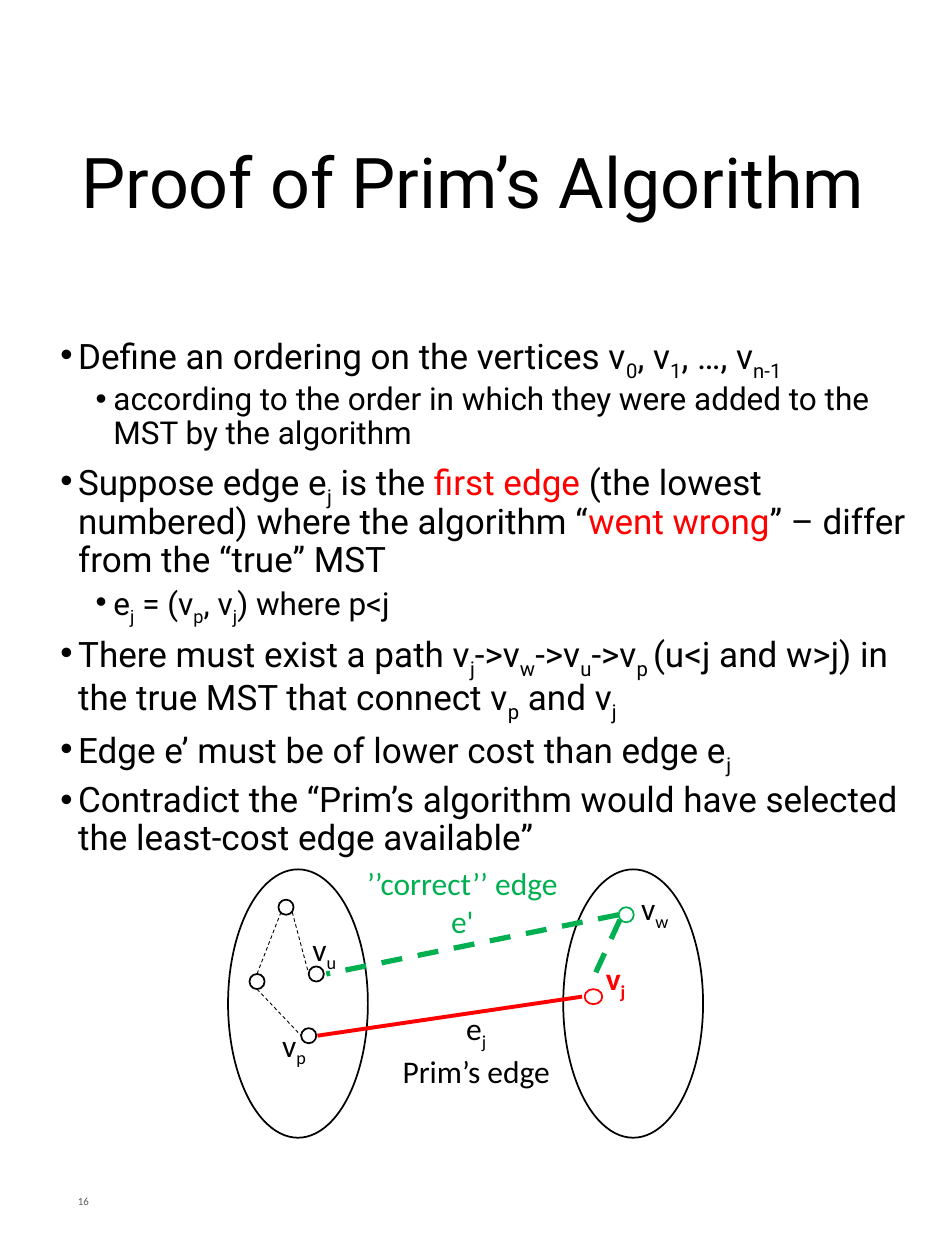
from lxml.etree import SubElement
from pptx import Presentation
from pptx.dml.color import RGBColor
from pptx.enum.dml import MSO_LINE
from pptx.enum.shapes import MSO_CONNECTOR, MSO_SHAPE
from pptx.enum.text import MSO_ANCHOR, MSO_AUTO_SIZE, PP_ALIGN
from pptx.oxml.ns import qn
from pptx.util import Inches, Pt

COLORS = {
    "black": "000000",
    "white": "FFFFFF",
    "gray": "595959",
    "red": "FF0000",
    "green": "00B050",
}

# In texts, |x| is a subscript and *x* is highlighted in red.
BULLETS = [
    (0, "Define an ordering on the vertices v|0|, v|1|, …, v|n-1|"),
    (1, "according to the order in which they were added to the MST by the algorithm"),
    (0, "Suppose edge e|j| is the *first edge *(the lowest numbered) where the "
        "algorithm “*went wrong*” – differ from the “true” MST"),
    (1, "e|j| = (v|p|, v|j|) where p<j"),
    (0, "There must exist a path v|j|->v|w|->v|u|->v|p |(u<j and w>j) in the true "
        "MST that connect v|p| and v|j|"),
    (0, "Edge e’ must be of lower cost than edge e|j|"),
    (0, "Contradict the “Prim’s algorithm would have selected the least-cost edge available”"),
]


def rgb(name):
    return RGBColor.from_string(COLORS[name])


def place(s, left, top, width, height):
    s.left, s.top = Inches(left), Inches(top)
    s.width, s.height = Inches(width), Inches(height)


def write(p, text, size=18, font="Calibri", color="black", bold=False,
          align=PP_ALIGN.LEFT):
    """Fill a paragraph, turning the marks in text into formatted runs."""
    p.alignment = align
    for i, part in enumerate(text.split("*")):
        for j, piece in enumerate(part.split("|")):
            if not piece:
                continue
            r = p.add_run()
            r.text = piece
            r.font.size, r.font.name, r.font.bold = Pt(size), font, bold
            r.font.color.rgb = rgb("red" if i % 2 else color)
            if j % 2:
                r.font._element.set("baseline", "-25000")


def add_label(slide, box, *lines, anchor=MSO_ANCHOR.TOP, **fmt):
    tf = slide.shapes.add_textbox(*map(Inches, box)).text_frame
    tf.word_wrap = True
    tf.vertical_anchor = anchor
    for i, line in enumerate(lines):
        write(tf.add_paragraph() if i else tf.paragraphs[0], line, **fmt)


def add_ellipse(slide, left, top, width, height, color="black"):
    s = slide.shapes.add_shape(MSO_SHAPE.OVAL, *map(Inches, (left, top, width, height)))
    s.shadow.inherit = False
    s.fill.solid()
    s.fill.fore_color.rgb = rgb("white")
    s.line.color.rgb = rgb(color)
    s.line.width = Pt(1)


def add_edge(slide, start, end, color="black", width=0.5, dashed=True):
    c = slide.shapes.add_connector(MSO_CONNECTOR.STRAIGHT, *map(Inches, start + end))
    c.line.color.rgb = rgb(color)
    c.line.width = Pt(width)
    if dashed:
        c.line.dash_style = MSO_LINE.DASH
    SubElement(c._element.spPr, qn("a:effectLst"))


def fill_title(s):
    place(s, 0.55, 0.51, 6.47, 1.93)
    tf = s.text_frame
    tf.auto_size = MSO_AUTO_SIZE.NONE
    tf.vertical_anchor = MSO_ANCHOR.MIDDLE
    p = tf.paragraphs[0]
    p.line_spacing = 0.9
    write(p, "Proof of Prim’s Algorithm", size=40, font="Roboto")


def fill_body(s):
    place(s, 0.38, 2.61, 6.98, 4.61)
    tf = s.text_frame
    tf.auto_size = MSO_AUTO_SIZE.NONE
    for i, (level, text) in enumerate(BULLETS):
        p = tf.add_paragraph() if i else tf.paragraphs[0]
        p.level = level
        p.line_spacing = 0.9
        p.space_before = Pt((2.8 if level else 5.7) if i else 0)
        pPr = p._p.get_or_add_pPr()
        pPr.set("marL", str(Inches(0.42 if level else 0.14)))
        pPr.set("indent", str(Inches(-0.14)))
        SubElement(pPr, qn("a:buChar")).set("char", "•")
        write(p, text, size=18 if level else 20, font="Roboto")


def draw_graph(slide):
    # Vertex sets
    for left in (1.81, 4.47):
        add_ellipse(slide, left, 6.9, 1.11, 2.13)

    # Vertices
    for left, top in ((2.21, 7.14), (1.98, 7.73), (2.39, 8.16), (2.45, 7.67)):
        add_ellipse(slide, left, top, 0.12, 0.12)
    add_ellipse(slide, 4.64, 7.85, 0.14, 0.12, "red")
    add_ellipse(slide, 4.91, 7.2, 0.12, 0.12, "green")

    # Edges inside the tree, then the chosen and the correct edges
    add_edge(slide, (2.23, 7.24), (2.04, 7.73))
    add_edge(slide, (2.32, 7.24), (2.45, 7.73))
    add_edge(slide, (2.04, 7.85), (2.39, 8.22))
    add_edge(slide, (2.52, 8.22), (4.62, 7.91), "red", 2.25, dashed=False)
    add_edge(slide, (4.92, 7.3), (4.7, 7.78), "green", 3)
    add_edge(slide, (4.91, 7.26), (2.59, 7.73), "green", 3)

    # Vertex labels
    for left, top, text in ((2.14, 8.09, "v|p|"), (4.99, 7.01, "v|w|"),
                            (2.38, 7.33, "v|u|")):
        add_label(slide, (left, top, 0.55, 0.4), text)
    add_label(slide, (4.71, 7.56, 0.55, 0.4), "v|j|", color="red", bold=True)

    # Edge labels
    add_label(slide, (2.96, 7.96, 1.64, 0.91), "e|j|", "Prim’s edge",
              align=PP_ALIGN.CENTER)
    add_label(slide, (2.46, 6.81, 2.42, 0.71), "’’correct’’ edge", "e'",
              color="green", align=PP_ALIGN.CENTER)


def main():
    prs = Presentation()
    prs.slide_width, prs.slide_height = Inches(7.5), Inches(10)
    slide = prs.slides.add_slide(prs.slide_layouts[1])
    fill_title(slide.shapes.title)
    fill_body(slide.placeholders[1])
    draw_graph(slide)

    # Slide number
    add_label(slide, (0.52, 9.27, 1.69, 0.53), "16", size=6.2, color="gray",
              anchor=MSO_ANCHOR.MIDDLE)
    prs.save("out.pptx")


if __name__ == "__main__":
    main()
